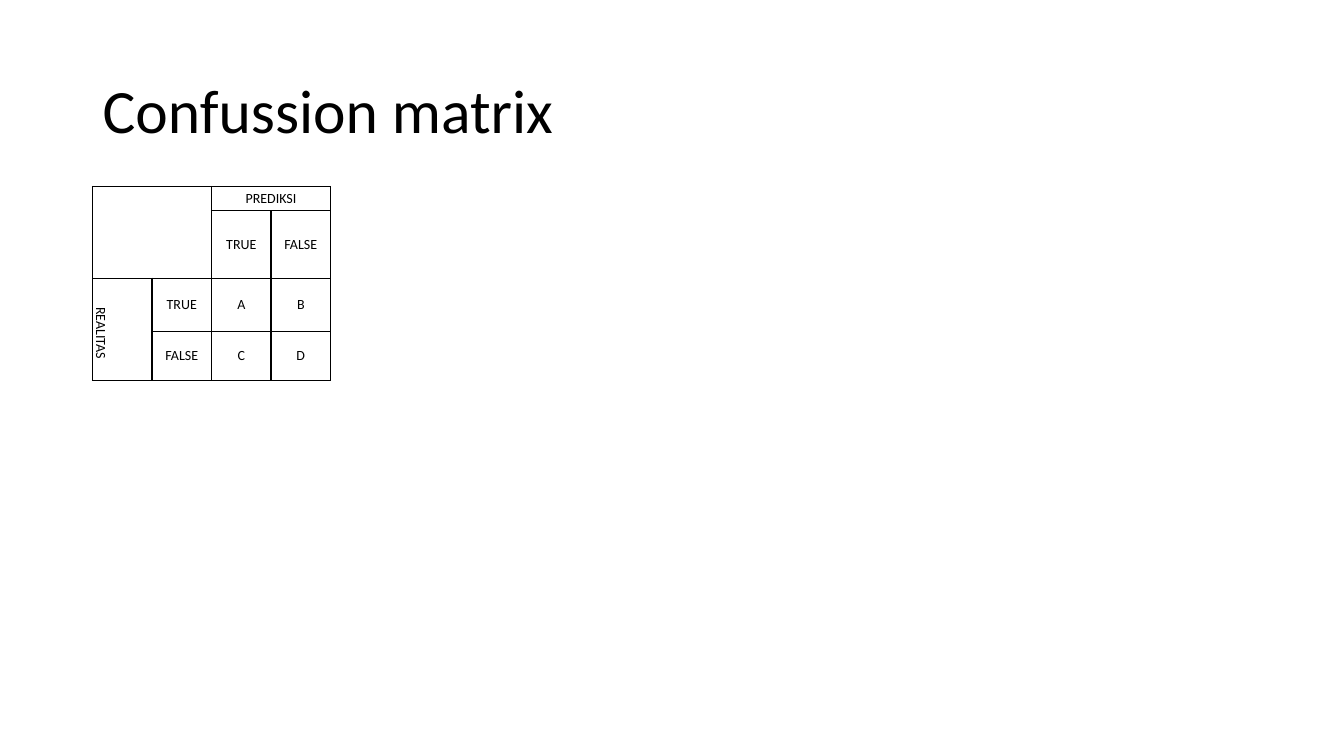
import pptx
import pptx.util
import pptx.dml.color
import pptx.enum.text
import pptx.oxml
import pptx.oxml.ns
from pptx.util import Cm
from lxml import etree


def color(value):
    return pptx.dml.color.RGBColor.from_string(value)


def add_border(cell, side, value, points):
    tag = pptx.oxml.ns.qn("a:ln" + side)
    line = etree.SubElement(cell._tc.get_or_add_tcPr(), tag, w=str(pptx.util.Pt(points)))
    fill = etree.SubElement(line, pptx.oxml.ns.qn("a:solidFill"))
    etree.SubElement(fill, pptx.oxml.ns.qn("a:srgbClr"), val=value)


BLACK = "000000"
FONT = "Calibri"
ROW_HEIGHTS = [0.61, 1.7, 1.35, 1.22]
COLUMN_WIDTH = 1.5
MATRIX = [
    ["", "", "PREDIKSI", ""],
    ["", "", "TRUE", "FALSE"],
    ["REALITAS", "TRUE", "A", "B"],
    ["", "FALSE", "C", "D"],
]
MERGES = [(0, 0, 1, 1), (0, 2, 0, 3), (2, 0, 3, 0)]

prs = pptx.Presentation()
prs.slide_width = Cm(33.87)
prs.slide_height = Cm(19.05)
s = prs.slides.add_slide(prs.slide_layouts[5])

title = s.shapes.title
title.left, title.top, title.width, title.height = Cm(2.33), Cm(1.02), Cm(29.21), Cm(3.68)
tf = title.text_frame
tf.text = "Confussion matrix"
tf.vertical_anchor = pptx.enum.text.MSO_ANCHOR.MIDDLE
p = tf.paragraphs[0]
p.alignment = pptx.enum.text.PP_ALIGN.LEFT
p.line_spacing = 0.9
r = p.runs[0]
r.font.name = FONT
r.font.size = pptx.util.Pt(44)
r.font.color.rgb = color(BLACK)

frame = s.shapes.add_table(4, 4, Cm(2.33), Cm(4.7), Cm(4 * COLUMN_WIDTH), Cm(sum(ROW_HEIGHTS)))
table = frame.table
table.first_row = False
table.horz_banding = False
for column in table.columns:
    column.width = Cm(COLUMN_WIDTH)
for row, height in zip(table.rows, ROW_HEIGHTS):
    row.height = Cm(height)

for i, labels in enumerate(MATRIX):
    for j, label in enumerate(labels):
        cell = table.cell(i, j)
        cell.margin_left = cell.margin_right = Cm(0.18)
        cell.margin_top = cell.margin_bottom = Cm(0)
        cell.vertical_anchor = pptx.enum.text.MSO_ANCHOR.MIDDLE
        for side in "LRTB":
            add_border(cell, side, BLACK, 1)
        cell.fill.background()
        cell.text_frame.text = label
        p = cell.text_frame.paragraphs[0]
        p.alignment = pptx.enum.text.PP_ALIGN.CENTER
        for r in p.runs:
            r.font.name = FONT
            r.font.size = pptx.util.Pt(10)
            r.font.color.rgb = color(BLACK)
        if not label:
            etree.SubElement(p._p, pptx.oxml.ns.qn("a:endParaRPr"), sz="1000")

for top, left, bottom, right in MERGES:
    table.cell(top, left).merge(table.cell(bottom, right))

reality = table.cell(2, 0)
reality._tc.get_or_add_tcPr().set("vert", "vert")
reality.text_frame.paragraphs[0]._p.get_or_add_pPr().set("marL", str(Cm(0.2)))

prs.save("out.pptx")
